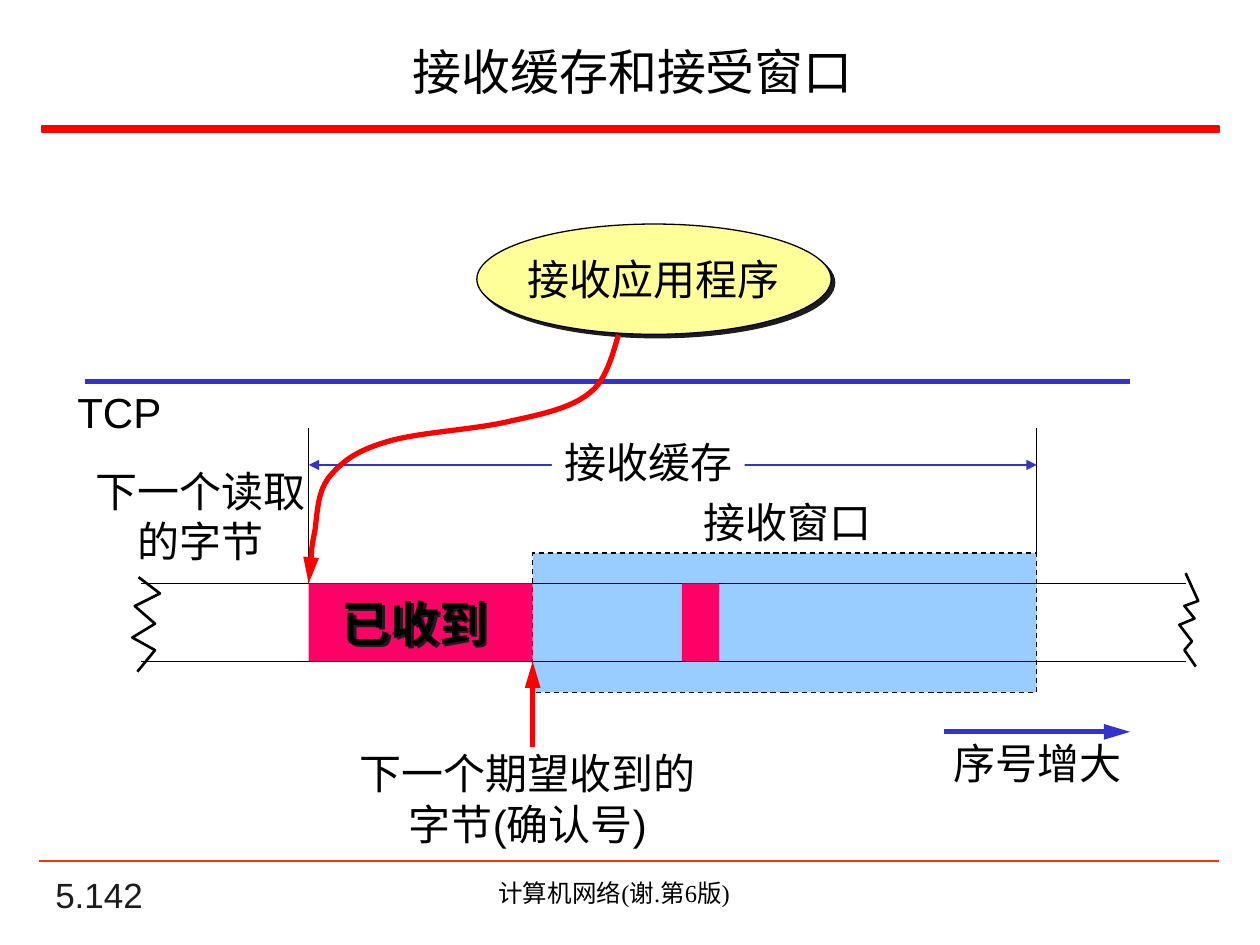
from lxml.etree import SubElement
from pptx import Presentation
from pptx.dml.color import RGBColor
from pptx.enum.dml import MSO_LINE_DASH_STYLE as Dash
from pptx.enum.shapes import MSO_CONNECTOR as Connector, MSO_SHAPE as Shape
from pptx.enum.text import MSO_ANCHOR as Anchor, PP_ALIGN as Align
from pptx.oxml.ns import qn
from pptx.util import Pt

BLACK, WHITE, GREY, RED, ORANGE = "000000", "FFFFFF", "1C1C1C", "FF0000", "FF3300"
BLUE, SKY, PINK, YELLOW = "3333CC", "99CCFF", "FF0066", "FFFF99"
HAIRLINE, OUTLINE, HEAVY = 0.75, 1.5, 3

TAPE_LEFT, TAPE_RIGHT, TAPE_TOP, TAPE_BOTTOM = 80.6, 677.5, 333.4, 378
BUFFER_LEFT, BUFFER_RIGHT, BUFFER_TOP, BUFFER_ARROW = 176.4, 592.4, 244.8, 265.7
WINDOW_LEFT, WINDOW_TOP, WINDOW_BOTTOM = 304.4, 316.1, 395.7
TCP_LEFT, TCP_RIGHT, TCP_TOP = 48.8, 645.8, 218
SEQUENCE_LEFT, SEQUENCE_TOP = 539.3, 418.2

READ_POINTER = [
    (353.5, 191.5),
    (351.4, 196.6), (347.8, 216), (337.7, 223.9),
    (327.6, 232.6), (312.5, 236.2), (292.3, 240.5),
    (272.9, 245.5), (237.6, 247), (220.3, 252.7),
    (203, 257.8), (195.1, 264.2), (187.9, 272.9),
    (181.4, 281.5), (181.4, 293), (180, 303.1),
    (177.8, 313.9), (177.1, 327.6), (BUFFER_LEFT, TAPE_TOP),
]
LEFT_TEAR = [(79.2, 329.8), (91.4, 339.1), (77, 346.3), (88.6, 356.4),
             (75.6, 364.3), (88.6, 371.5), (78.5, 383.8)]
RIGHT_TEAR = [(677.5, 327.6), (684.7, 343.4), (676.8, 346.3), (682.6, 353.5),
              (673.9, 357.1), (681.1, 366.5), (676.8, 371.5), (683.3, 380.9)]
LABELS = [
    ((36.9, 217.4, 62.6, 36), "TCP"),
    ((395, 280.1, 110.2, 36), "接收窗口"),
    ((47.5, 262.5, 134.6, 64.8), "下一个读取\n的字节"),
    ((537.8, 418, 110.2, 36), "序号增大"),
    ((197.6, 423.8, 208.1, 65.5), "下一个期望收到的\n字节(确认号)"),
]


def color(value):
    return RGBColor.from_string(value)


def style_line(line, value, width):
    line.color.rgb = color(value)
    line.width = Pt(width)


def add_arrowheads(shape, *ends):
    length = "lg" if shape.line.width >= Pt(HEAVY) else "med"
    for end in ends:
        SubElement(shape.line._get_or_add_ln(), qn(end), type="triangle", len=length)


def add_shadow(shape, distance):
    shape.shadow.inherit = False
    effects = shape._element.spPr.find(qn("a:effectLst"))
    shadow = SubElement(effects, qn("a:outerShdw"), dist=str(Pt(distance)), dir="2700000")
    SubElement(shadow, qn("a:srgbClr"), val=GREY)


def write(shape, text, size=24, font="Arial", value=BLACK, bold=False,
          align=Align.CENTER, anchor=Anchor.TOP, wrap=False):
    frame = shape.text_frame
    frame.text = text
    frame.word_wrap = wrap
    frame.vertical_anchor = anchor
    for para in frame.paragraphs:
        para.alignment = align
        for span in para.runs:
            span.font.size = Pt(size)
            span.font.name = font
            span.font.bold = bold
            span.font.color.rgb = color(value)


def add_label(page, place, text, **style):
    box = page.shapes.add_textbox(*map(Pt, place))
    write(box, text, **style)
    return box


def add_block(page, kind, left, top, right, bottom, fill, line=None, width=HAIRLINE):
    place = (left, top, right - left, bottom - top)
    block = page.shapes.add_shape(kind, *map(Pt, place))
    block.shadow.inherit = False
    block.fill.solid()
    block.fill.fore_color.rgb = color(fill)
    if line:
        style_line(block.line, line, width)
    else:
        block.line.fill.background()
    return block


def add_line(page, start, end, value=BLACK, width=HAIRLINE):
    line = page.shapes.add_connector(Connector.STRAIGHT, *map(Pt, (*start, *end)))
    style_line(line.line, value, width)
    SubElement(line._element.spPr, qn("a:effectLst"))
    return line


def add_arrow(page, start, end, value, width, *ends):
    arrow = add_line(page, start, end, value, width)
    add_arrowheads(arrow, *ends)


def add_polyline(page, points, value, width):
    start, *rest = [(Pt(x), Pt(y)) for x, y in points]
    builder = page.shapes.build_freeform(*start, scale=1.0)
    builder.add_line_segments(rest, close=False)
    polyline = builder.convert_to_shape()
    polyline.shadow.inherit = False
    polyline.fill.background()
    style_line(polyline.line, value, width)
    return polyline


def add_curved_arrow(page, points, value, width):
    curve = add_polyline(page, points, value, width)
    segments = list(curve._element.iter(qn("a:lnTo")))
    track = segments[0].getparent()
    for index in range(0, len(segments), 3):
        bend = SubElement(track, qn("a:cubicBezTo"))
        for segment in segments[index:index + 3]:
            bend.append(segment[0])
            track.remove(segment)
    add_arrowheads(curve, "a:tailEnd")


def add_title_and_footer(page):
    title = page.shapes.title
    title.left, title.top, title.width, title.height = map(Pt, (28, 15.6, 667, 50))
    write(title, "接收缓存和接受窗口", size=28, font="Roboto", anchor=Anchor.MIDDLE, wrap=True)
    add_block(page, Shape.RECTANGLE, 23.8, 72, 696.6, 75.6, RED, RED, 1)
    add_line(page, (22.3, 492), (696.8, 492), ORANGE, OUTLINE)
    add_label(page, (24.5, 502.8, 149.8, 23.8), "5.142", size=20, value=GREY,
              align=Align.LEFT, anchor=Anchor.BOTTOM, wrap=True)
    add_label(page, (204, 498.2, 293.8, 24.5), "计算机网络(谢.第6版)", size=14,
              font="Times New Roman", wrap=True)


def add_application(page):
    program = add_block(page, Shape.OVAL, 272.5, 128, 475, 191, YELLOW, BLACK)
    add_shadow(program, 2.8)
    write(program, "接收应用程序", anchor=Anchor.MIDDLE)
    add_line(page, (TCP_LEFT, TCP_TOP), (TCP_RIGHT, TCP_TOP), BLUE, HEAVY)


def add_tape(page):
    window = add_block(page, Shape.RECTANGLE, WINDOW_LEFT, WINDOW_TOP,
                       BUFFER_RIGHT, WINDOW_BOTTOM, SKY, BLACK)
    window.line.dash_style = Dash.DASH
    for edge in (TAPE_TOP, TAPE_BOTTOM):
        add_line(page, (TAPE_LEFT, edge), (TAPE_RIGHT, edge))
    for left, right in ((BUFFER_LEFT, WINDOW_LEFT), (389.6, 411)):
        add_block(page, Shape.RECTANGLE, left, TAPE_TOP, right, TAPE_BOTTOM, PINK)
    received = add_label(page, (188.2, 335.5, 98.6, 41), "已收到", size=28, bold=True,
                         align=Align.LEFT)
    add_shadow(received, 2)
    for tear in (LEFT_TEAR, RIGHT_TEAR):
        add_polyline(page, tear, BLACK, OUTLINE)


def add_buffer_span(page):
    for side, bottom in ((BUFFER_LEFT, TAPE_TOP), (BUFFER_RIGHT, WINDOW_TOP)):
        add_line(page, (side, BUFFER_TOP), (side, bottom))
    add_arrow(page, (BUFFER_LEFT, BUFFER_ARROW), (BUFFER_RIGHT, BUFFER_ARROW),
              BLUE, HAIRLINE, "a:headEnd", "a:tailEnd")
    caption = add_block(page, Shape.RECTANGLE, 315.4, 246.2, 425.6, 282.2, WHITE)
    write(caption, "接收缓存", align=Align.LEFT)


def add_pointers(page):
    add_curved_arrow(page, READ_POINTER, RED, HEAVY)
    add_arrow(page, (WINDOW_LEFT, 427), (WINDOW_LEFT, TAPE_BOTTOM), RED, HEAVY, "a:tailEnd")
    add_arrow(page, (SEQUENCE_LEFT, SEQUENCE_TOP), (TCP_RIGHT, SEQUENCE_TOP),
              BLUE, HEAVY, "a:tailEnd")


def main():
    deck = Presentation()
    deck.slide_width, deck.slide_height = Pt(720), Pt(540)
    page = deck.slides.add_slide(deck.slide_layouts[5])
    add_title_and_footer(page)
    add_application(page)
    add_tape(page)
    add_buffer_span(page)
    add_pointers(page)
    for place, text in LABELS:
        add_label(page, place, text)
    deck.save("out.pptx")


if __name__ == "__main__":
    main()
